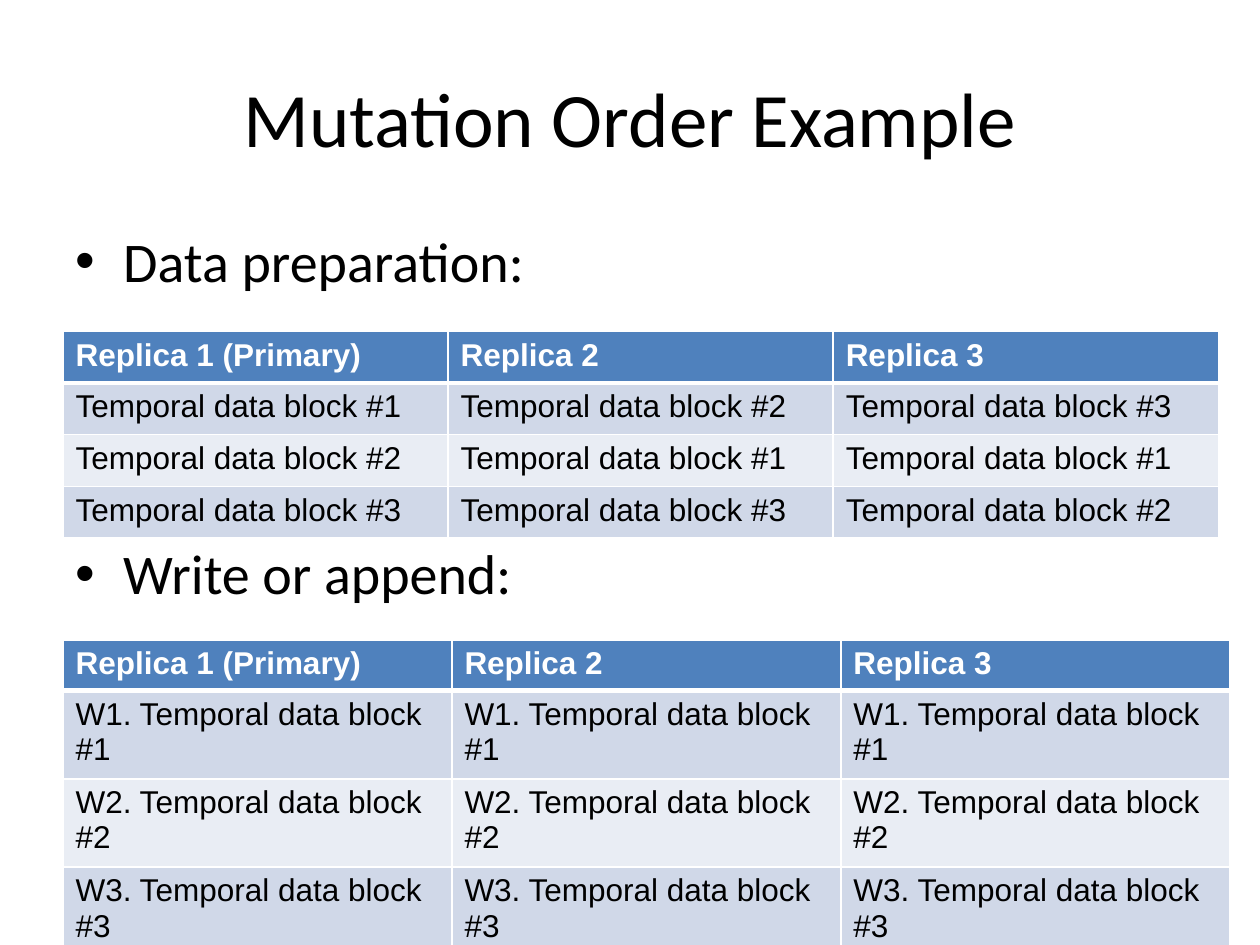
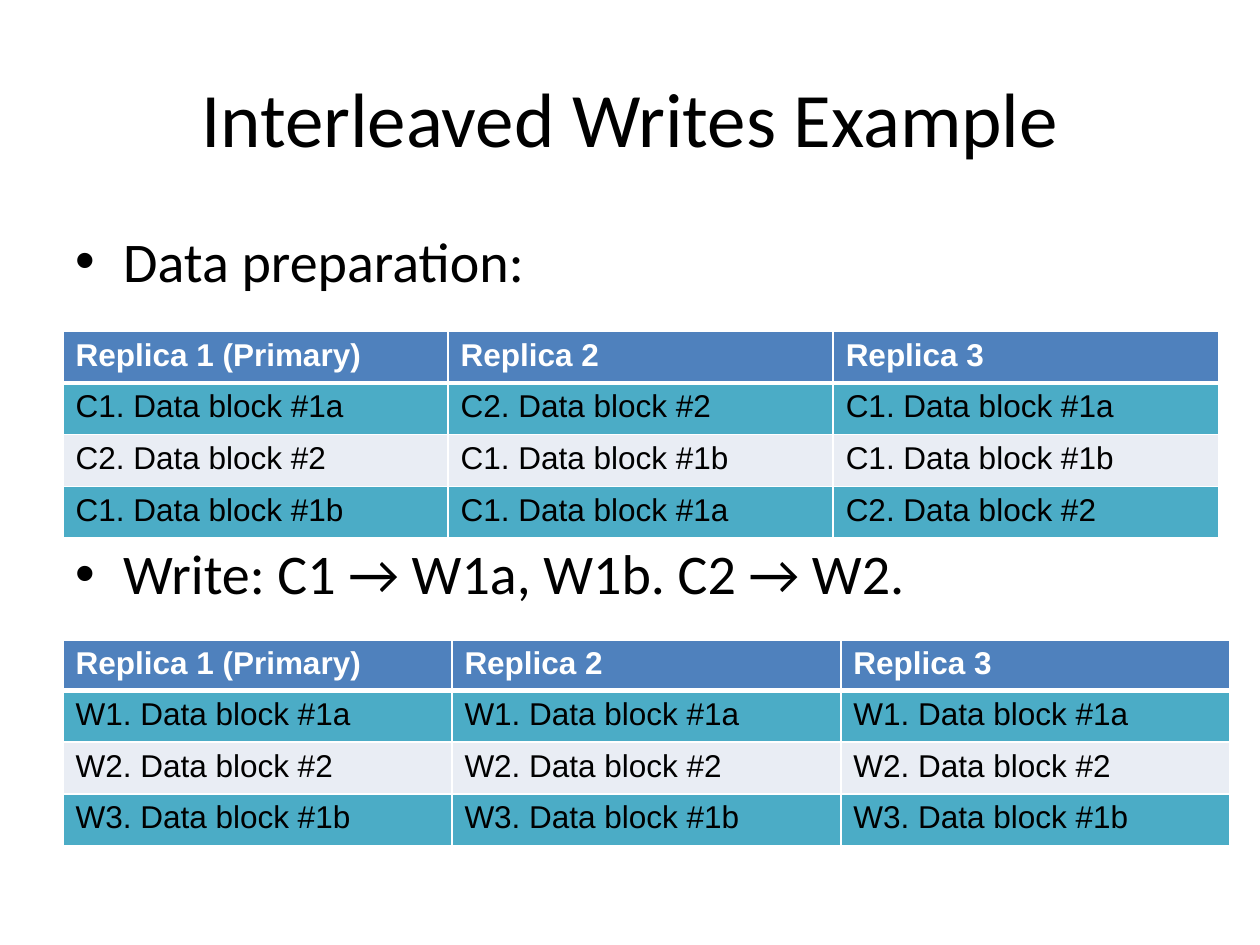
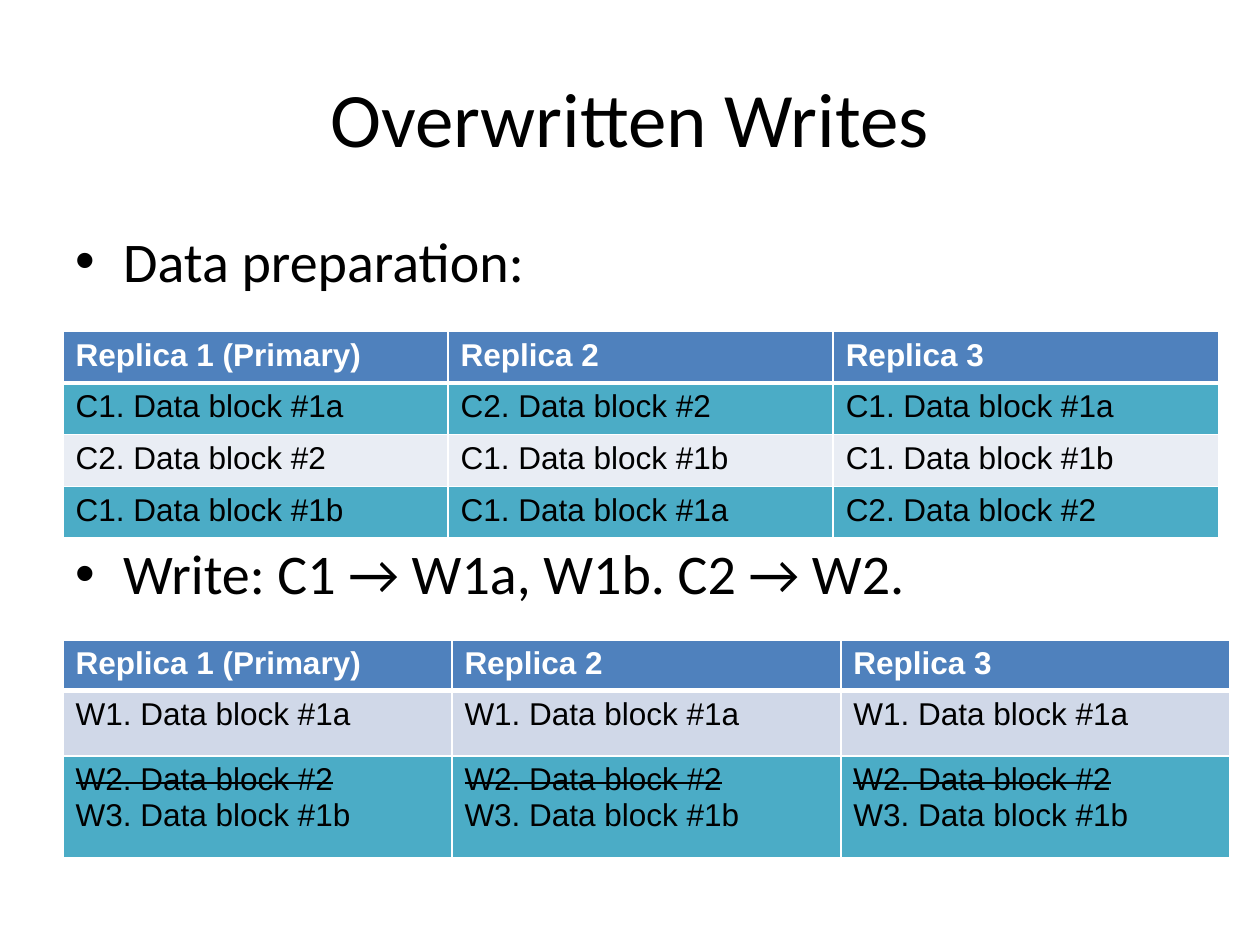
from lxml.etree import SubElement
from pptx import Presentation
from pptx.dml.color import RGBColor
from pptx.enum.text import MSO_ANCHOR, PP_ALIGN
from pptx.oxml.ns import qn
from pptx.util import Inches, Pt

BLACK = RGBColor(0x00, 0x00, 0x00)
WHITE = RGBColor(0xFF, 0xFF, 0xFF)
BLUE = RGBColor(0x4F, 0x81, 0xBD)
TEAL = RGBColor(0x4B, 0xAC, 0xC6)
PALE_BLUE = RGBColor(0xD0, 0xD8, 0xE8)
PALE_GREY = RGBColor(0xE9, 0xED, 0xF4)

HEADING_FONT = "Calibri"
TABLE_FONT = "Arial"
TITLE_BOX = (0.5, 0.3, 9, 1.25)
BODY_BOX = (0.5, 1.75, 9, 4.95)
PREPARATION_BOX = (0.5, 2.63, 9.17)
WRITE_BOX = (0.5, 5.08, 9.26)
INDENT = Inches(0.38)

REPLICAS = ["Replica 1 (Primary)", "Replica 2", "Replica 3"]
PREPARATION_HEIGHTS = [0.41] * 4
WRITE_HEIGHTS = [0.39] + [0.41] * 3
PALE_BANDS = [PALE_BLUE, PALE_GREY, PALE_BLUE]
TEAL_BANDS = [TEAL, PALE_GREY, TEAL]
CLIENT_WRITES = "Write: C1 → W1a, W1b. C2 → W2."
OVERWRITTEN = "W2. Data block #2"

TEMPORAL_ROWS = [
    [f"Temporal data block #{number}" for number in numbers]
    for numbers in ((1, 2, 3), (2, 1, 1), (3, 3, 2))
]
ORDERED_ROWS = [[f"W{number}. Temporal data block #{number}"] * 3 for number in (1, 2, 3)]
CLIENT_ROWS = [
    ["C1. Data block #1a", "C2. Data block #2", "C1. Data block #1a"],
    ["C2. Data block #2", "C1. Data block #1b", "C1. Data block #1b"],
    ["C1. Data block #1b", "C1. Data block #1a", "C2. Data block #2"],
]
INTERLEAVED_ROWS = [
    [text] * 3 for text in ("W1. Data block #1a", OVERWRITTEN, "W3. Data block #1b")
]
OVERWRITTEN_ROWS = [
    [text] * 3 for text in ("W1. Data block #1a", f"{OVERWRITTEN}\nW3. Data block #1b")
]


def set_font(para, name, size, color, bold=False):
    font = para.font
    font.name = name
    font.size = Pt(size)
    font.color.rgb = color
    font.bold = bold


def place_title(page, box, text):
    title = page.shapes.title
    title.left, title.top, title.width, title.height = map(Inches, box)
    frame = title.text_frame
    frame.text = text
    frame.vertical_anchor = MSO_ANCHOR.MIDDLE
    para = frame.paragraphs[0]
    para.alignment = PP_ALIGN.CENTER
    set_font(para, HEADING_FONT, 44, BLACK)


def add_bullets(page, box, texts, gap):
    frame = page.shapes.add_textbox(*map(Inches, box)).text_frame
    frame.word_wrap = True
    for index, text in enumerate(texts):
        para = frame.add_paragraph() if index else frame.paragraphs[0]
        para.text = text
        para.space_before = Pt(gap if index else 0)
        properties = para._p.get_or_add_pPr()
        properties.set("marL", str(INDENT))
        properties.set("indent", str(-INDENT))
        SubElement(properties, qn("a:buFont"), typeface="Arial")
        SubElement(properties, qn("a:buChar"), char="•")
        set_font(para, HEADING_FONT, 32, BLACK)


def set_borders(cell, widths):
    properties = cell._tc.get_or_add_tcPr()
    for side, width in zip("LRTB", widths):
        line = SubElement(properties, qn(f"a:ln{side}"), w=str(Pt(width)))
        fill = SubElement(line, qn("a:solidFill"))
        SubElement(fill, qn("a:srgbClr"), val=str(WHITE))


def fill_cell(cell, text, fill, header, struck, borders):
    set_borders(cell, borders)
    cell.fill.solid()
    cell.fill.fore_color.rgb = fill
    cell.text = text
    for para in cell.text_frame.paragraphs:
        set_font(para, TABLE_FONT, 18, WHITE if header else BLACK, header)
        for span in para.runs:
            if span.text in struck:
                span._r.get_or_add_rPr().set("strike", "sngStrike")


def add_replica_table(page, box, rows, bands, heights, struck=()):
    left, top, width = box
    table = page.shapes.add_table(
        len(rows) + 1, len(REPLICAS),
        Inches(left), Inches(top), Inches(width), Inches(sum(heights)),
    ).table
    table.horz_banding = False
    for row, height in zip(table.rows, heights):
        row.height = Inches(height)
    for row_index, (texts, fill) in enumerate(zip([REPLICAS] + rows, [BLUE] + bands)):
        borders = (1, 1, 3 if row_index == 1 else 1, 3 if row_index == 0 else 1)
        for column, text in enumerate(texts):
            fill_cell(table.cell(row_index, column), text, fill, row_index == 0, struck, borders)


def add_example(deck, title, write_text, preparation, write):
    page = deck.slides.add_slide(deck.slide_layouts[5])
    place_title(page, TITLE_BOX, title)
    add_bullets(page, BODY_BOX, ["Data preparation:", write_text], 140)
    add_replica_table(page, PREPARATION_BOX, *preparation)
    add_replica_table(page, WRITE_BOX, *write)


def main():
    deck = Presentation()
    deck.slide_width, deck.slide_height = Inches(10), Inches(7.5)
    client_preparation = (CLIENT_ROWS, TEAL_BANDS, PREPARATION_HEIGHTS)
    add_example(
        deck, "Mutation Order Example", "Write or append:",
        (TEMPORAL_ROWS, PALE_BANDS, PREPARATION_HEIGHTS),
        (ORDERED_ROWS, PALE_BANDS, WRITE_HEIGHTS),
    )
    add_example(
        deck, "Interleaved Writes Example", CLIENT_WRITES, client_preparation,
        (INTERLEAVED_ROWS, TEAL_BANDS, WRITE_HEIGHTS),
    )
    add_example(
        deck, "Overwritten Writes", CLIENT_WRITES, client_preparation,
        (OVERWRITTEN_ROWS, [PALE_BLUE, TEAL], [0.39, 0.52, 0.81], (OVERWRITTEN,)),
    )
    deck.save("out.pptx")


if __name__ == "__main__":
    main()
